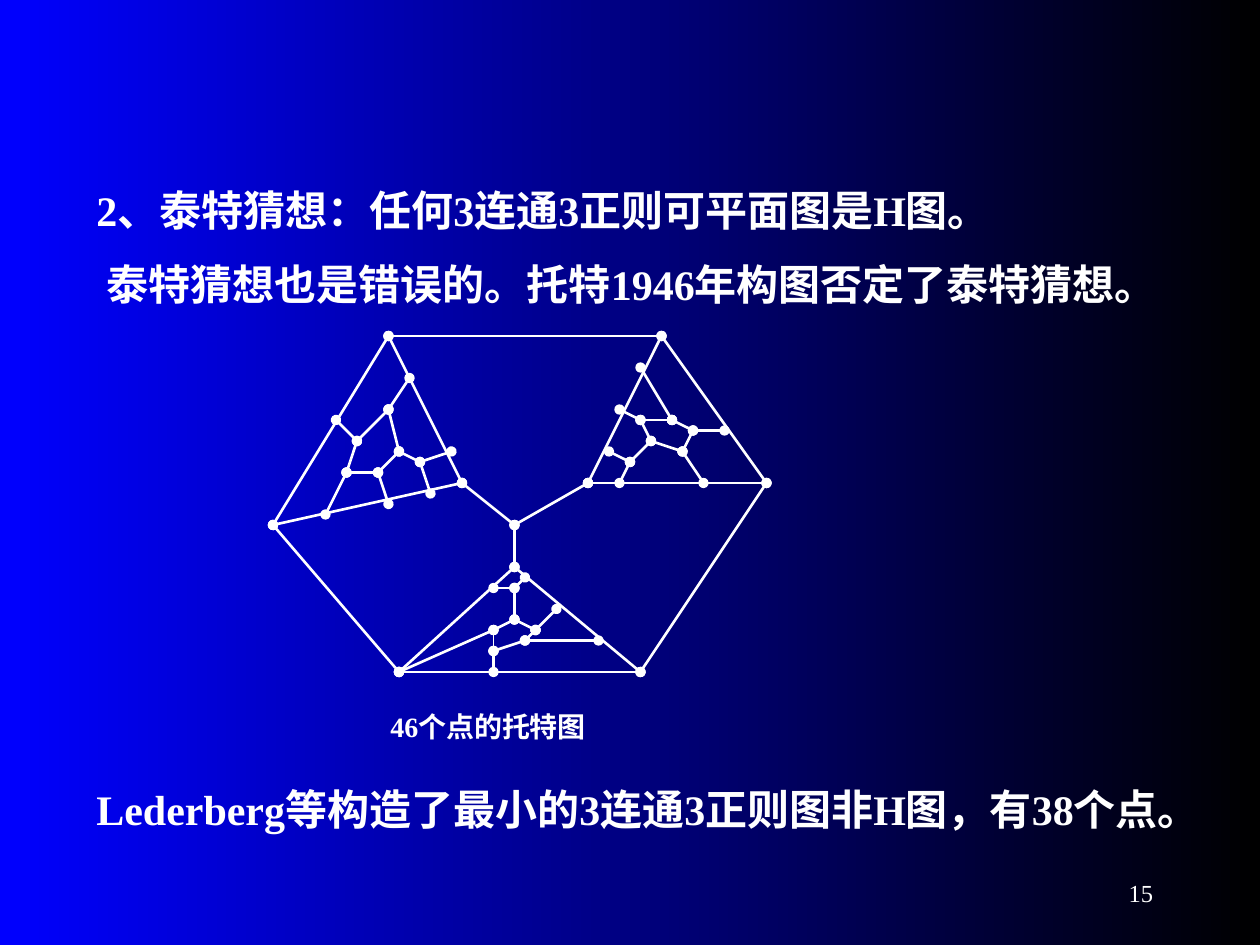
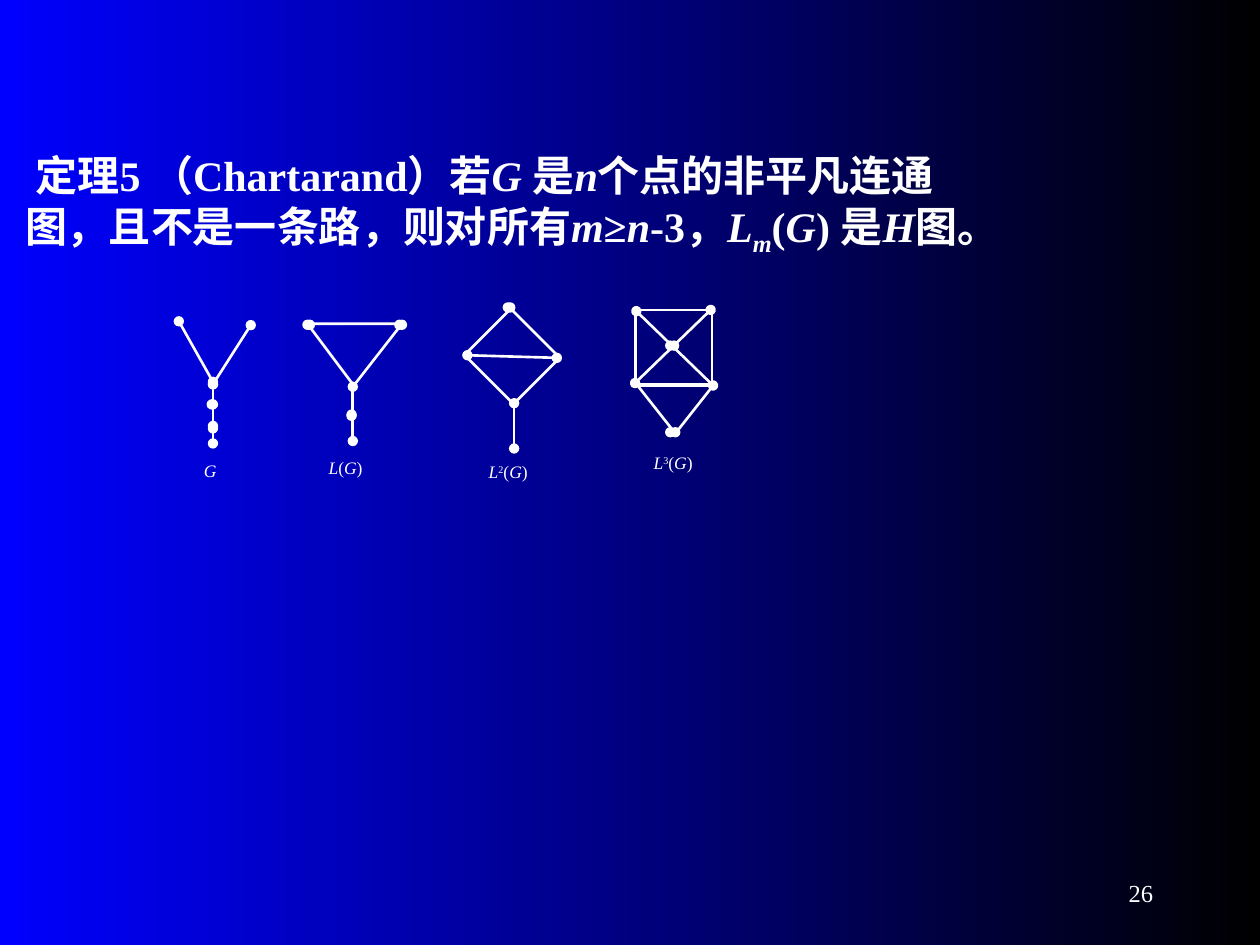
from itertools import pairwise

from pptx import Presentation
from pptx import util as u
from pptx.dml.color import RGBColor
from pptx.enum import lang, shapes, text
from pptx.oxml import parse_xml
from pptx.oxml.ns import nsdecls, qn

GRID = 6  # points per unit of the Tutte graph coordinates

TUTTE_FRAME = [
    [(37, 32), (63, 32), (73, 46), (61, 64), (38, 64), (26, 50), (37, 32)],
    [(37, 32), (44, 46), (26, 50)],
    [(63, 32), (56, 46), (73, 46)],
    [(38, 64), (49, 54), (61, 64)],
    [(44, 46), (49, 50), (56, 46)],
    [(49, 50), (49, 54)],
]
TUTTE_LEFT = [
    [(32, 40), (34, 42), (37, 39), (38, 43), (36, 45), (33, 45), (34, 42)],
    [(39, 36), (37, 39)],
    [(38, 43), (40, 44), (43, 43)],
    [(40, 44), (41, 47)],
    [(36, 45), (37, 48)],
    [(33, 45), (31, 49)],
]
TUTTE_RIGHT = [
    [(58, 43), (60, 44), (62, 42), (65, 43), (67, 46)],
    [(59, 39), (61, 40), (64, 40), (66, 41), (69, 41)],
    [(60, 44), (59, 46)],
    [(61, 40), (62, 42)],
    [(66, 41), (65, 43)],
    [(64, 40), (61, 35)],
]
TUTTE_BOTTOM = [
    [(38, 64), (47, 60), (49, 59), (51, 60), (50, 61), (47, 62), (47, 64)],
    [(51, 60), (53, 58)],
    [(50, 61), (57, 61)],
    [(49, 59), (49, 56), (47, 56)],
    [(49, 56), (50, 55)],
]

# Each edge is x1, y1, x2, y2 in points; very short edges mark single vertices.
LINE_GRAPH_EDGES = {
    "G": [
        (102.2, 183.6, 121.7, 218.2), (121.7, 219.6, 143.3, 185.8),
        (121.7, 219.6, 121.7, 253.4), (121, 231.1, 121.7, 231.1),
        (121.7, 244.8, 121.7, 243.4),
    ],
    "L(G)": [
        (201.6, 221, 201.6, 252), (228.2, 185.6, 229.7, 185.6),
        (175.7, 185.6, 177.1, 185.6), (200.9, 237.6, 200.9, 236.9),
    ],
    "L2(G)": [
        (267.1, 203, 318.2, 204.5), (293.8, 230.4, 293.8, 256.3),
        (290.2, 175.7, 291.6, 175.7),
    ],
    "L3(G)": [
        (407.5, 220.3, 363.6, 177.8), (406.1, 177.1, 362.9, 218.9),
        (383, 197.5, 385.2, 197.5), (383, 247, 385.9, 247),
    ],
}


def color(value):
    return RGBColor.from_string(value)


class Deck:
    """Holds the shared style and the slide being drawn."""

    ink = "FFFFFF"
    background = ("0000FF", "000000")
    font = "Times New Roman"
    body_size, label_size, number_size = 24, 10, 14
    line_width = 1.5
    baselines = {"sub": "-25000", "sup": "30000"}

    def __init__(self):
        self.presentation = Presentation()
        self.presentation.slide_width = u.Pt(720)
        self.presentation.slide_height = u.Pt(540)
        self.slide = None

    def add_slide(self, number):
        self.slide = self.presentation.slides.add_slide(self.presentation.slide_layouts[6])
        fill = self.slide.background.fill
        fill.gradient()
        fill.gradient_angle = 0
        for stop, value in zip(fill.gradient_stops, self.background):
            stop.color.rgb = color(value)
        self.text((516, 492, 150, 36), [[(str(number), "")]], self.number_size,
                  align=text.PP_ALIGN.RIGHT, middle=True)

    def run(self, paragraph, words, style, size, bold):
        """Style is a set of words among "i", "sub" and "sup"."""
        run = paragraph.add_run()
        run.text = words
        run.font.name = self.font
        run.font.size = u.Pt(size)
        run.font.bold = bold
        run.font.italic = "i" in style.split()
        run.font.color.rgb = color(self.ink)
        run.font.language_id = lang.MSO_LANGUAGE_ID.SIMPLIFIED_CHINESE
        for name in style.split():
            if name in self.baselines:
                run._r.get_or_add_rPr().set("baseline", self.baselines[name])

    def text(self, box, paragraphs, size, bold=False, align=text.PP_ALIGN.LEFT,
             middle=False, wrap=True, indent=0, before=0):
        """Each paragraph is a list of (words, style); indent applies to the first one."""
        frame = self.slide.shapes.add_textbox(*map(u.Pt, box)).text_frame
        frame.word_wrap = wrap
        frame.vertical_anchor = text.MSO_ANCHOR.MIDDLE if middle else text.MSO_ANCHOR.TOP
        for index, runs in enumerate(paragraphs):
            paragraph = frame.add_paragraph() if index else frame.paragraphs[0]
            paragraph.alignment = align
            paragraph.space_before = u.Pt(before)
            if indent and not index:
                paragraph._p.get_or_add_pPr().set("indent", str(u.Pt(indent)))
            for words, style in runs:
                self.run(paragraph, words, style, size, bold)

    def statement(self, box, words, indent):
        self.text(box, [[(words, "")]], self.body_size, bold=True, indent=indent, before=15)

    def label(self, box, runs):
        self.text(box, [runs], self.label_size)

    def edge(self, x1, y1, x2, y2, width=line_width):
        """Draw a graph edge with a round vertex at both ends."""
        connector = self.slide.shapes.add_connector(
            shapes.MSO_CONNECTOR.STRAIGHT, *map(u.Pt, (x1, y1, x2, y2)))
        connector.line.color.rgb = color(self.ink)
        connector.line.width = u.Pt(width)
        line = connector.line._get_or_add_ln()
        for end in ("headEnd", "tailEnd"):
            line.append(line.makeelement(qn(f"a:{end}"), {"type": "oval"}))
        connector._element.spPr.append(parse_xml(f"<a:effectLst {nsdecls('a')}/>"))

    def graph(self, paths):
        for path in paths:
            for start, end in pairwise(path):
                thin = (start, end) == ((50, 61), (47, 62))
                self.edge(*(GRID * value for value in start + end))

    def outline(self, kind, box, rotation=0, apex=None):
        shape = self.slide.shapes.add_shape(kind, *map(u.Pt, box))
        shape.shadow.inherit = False
        shape.fill.background()
        shape.line.color.rgb = color(self.ink)
        shape.line.width = u.Pt(self.line_width)
        shape.rotation = rotation
        if apex is not None:
            shape.adjustments[0] = apex


def tutte_slide(deck):
    deck.add_slide(15)
    deck.statement((30, 102, 618, 36), "2、泰特猜想：任何3连通3正则可平面图是H图。", 18)
    deck.statement((42, 144, 648, 36), "泰特猜想也是错误的。托特1946年构图否定了泰特猜想。", 12)
    for paths in (TUTTE_FRAME, TUTTE_LEFT, TUTTE_RIGHT, TUTTE_BOTTOM):
        deck.graph(paths)
    deck.edge(*(GRID * value for value in (47, 60, 47, 62)), width=0.75)
    deck.text((216, 402, 187, 26.5), [[("46个点的托特图", "")]], 16, bold=True)
    deck.statement((30, 444, 690, 65),
                   "Lederberg等构造了最小的3连通3正则图非H图，有38个点。", 18)


def line_graph_slide(deck):
    deck.add_slide(26)
    deck.text((7.2, 82, 605.5, 69), [
        [("定理5 （Chartarand）若", ""), ("G ", "i"), ("是", ""), ("n", "i"),
         ("个点的非平凡连通", "")],
        [("图，且不是一条路，则对所有", ""), ("m", "i"), ("≥", ""), ("n", "i"),
         ("-3，", ""), ("L", "i"), ("m", "i sub"), ("(", ""), ("G", "i"),
         (") 是", ""), ("H", "i"), ("图。", "")],
    ], deck.body_size, bold=True, middle=True, wrap=False, indent=6)

    rectangle = shapes.MSO_SHAPE.RECTANGLE
    triangle = shapes.MSO_SHAPE.ISOSCELES_TRIANGLE
    deck.outline(triangle, (175.7, 185, 54, 35.3), rotation=180, apex=0.51)
    deck.outline(rectangle, (272.9, 185, 39.6, 37.4), rotation=45)
    deck.outline(rectangle, (363, 177.1, 44, 42.5))
    deck.outline(triangle, (364.3, 220.3, 43.2, 27.4), rotation=180)
    for edges in LINE_GRAPH_EDGES.values():
        for edge in edges:
            deck.edge(*edge)

    of_g = [("(", ""), ("G", "i"), (")", "")]
    deck.label((109.4, 259.2, 26, 21.6), [("G", "i")])
    deck.label((180.7, 257.8, 42.5, 22.3), [("L", "i"), *of_g])
    for left, top, power in ((272.2, 259.9, "2"), (366.5, 254.9, "3")):
        deck.label((left, top, 48.2, 20.2), [("L", "i"), (power, "sup"), *of_g])


def main():
    deck = Deck()
    tutte_slide(deck)
    line_graph_slide(deck)
    deck.presentation.save("out.pptx")


if __name__ == "__main__":
    main()
